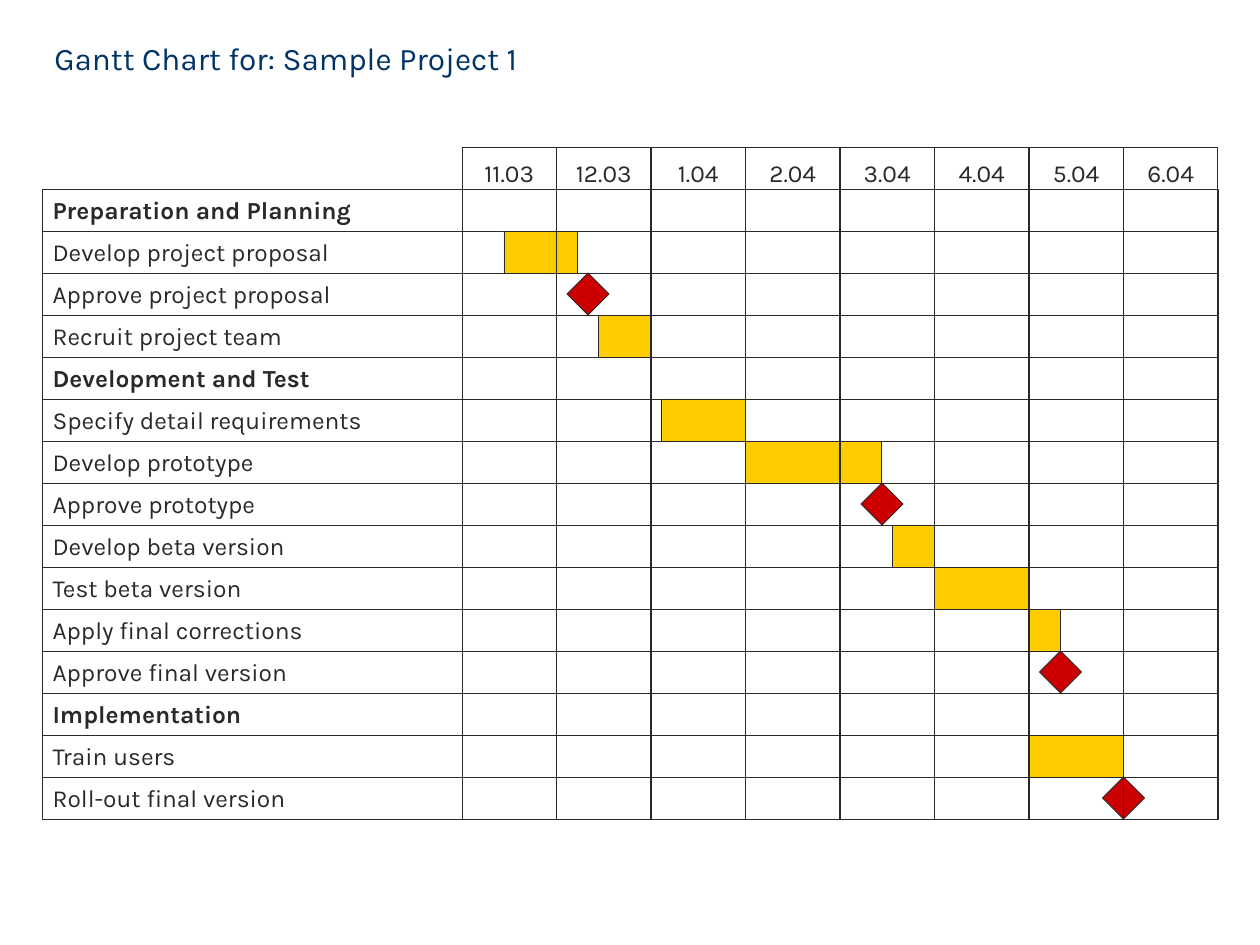
import pptx
import pptx.dml.color
import pptx.enum.shapes
import pptx.enum.text
import pptx.util

Pt = pptx.util.Pt
RGBColor = pptx.dml.color.RGBColor
MSO_SHAPE = pptx.enum.shapes.MSO_SHAPE
MSO_ANCHOR = pptx.enum.text.MSO_ANCHOR
PP_ALIGN = pptx.enum.text.PP_ALIGN

NAVY = RGBColor(0x00, 0x33, 0x66)
INK = RGBColor(0x29, 0x29, 0x29)
YELLOW = RGBColor(0xFF, 0xCC, 0x00)
RED = RGBColor(0xCC, 0x00, 0x00)
FONT = "Karla"

# Grid, in points
LEFT, WIDTH = 24, 672
ROW_TOP, ROW_HEIGHT = 108, 24
MONTH_LEFT, MONTH_TOP, MONTH_WIDTH = 264, 84, 54
INSET = 6

MONTHS = ["11.03", "12.03", "1.04", "2.04", "3.04", "4.04", "5.04", "6.04"]

# Label and timing in points from the first month:
# none for a phase, (start, end) for a task, (date,) for a milestone
ROWS = [
    ("Preparation and Planning", ()),
    ("Develop project proposal", (24, 66)),
    ("Approve project proposal", (72,)),
    ("Recruit project team", (78, 108)),
    ("Development and Test", ()),
    ("Specify detail requirements", (114, 162)),
    ("Develop prototype", (162, 240)),
    ("Approve prototype", (240,)),
    ("Develop beta version", (246, 270)),
    ("Test beta version", (270, 324)),
    ("Apply final corrections", (324, 342)),
    ("Approve final version", (342,)),
    ("Implementation", ()),
    ("Train users", (324, 378)),
    ("Roll-out final version", (378,)),
]


def set_attributes(target, values):
    for name, value in values.items():
        setattr(target, name, value)


def write_text(shape, text, frame_format, alignment, font_format, color):
    set_attributes(shape.text_frame, frame_format)
    paragraph = shape.text_frame.paragraphs[0]
    paragraph.text = text
    paragraph.alignment = alignment
    set_attributes(paragraph.runs[0].font, {"name": FONT, **font_format})
    paragraph.runs[0].font.color.rgb = color


def add_outlined(slide, kind, left, top, width, height, fill=None):
    shape = slide.shapes.add_shape(kind, Pt(left), Pt(top), Pt(width), Pt(height))
    shape.shadow.inherit = False
    if fill is None:
        shape.fill.background()
    else:
        shape.fill.solid()
        shape.fill.fore_color.rgb = fill
    shape.line.color.rgb = INK
    shape.line.width = Pt(0.5)
    return shape


def add_grid_box(slide, text, box, anchor, alignment, bold=False):
    shape = add_outlined(slide, MSO_SHAPE.RECTANGLE, *box)
    sides = ("left", "top", "right", "bottom")
    frame_format = {f"margin_{side}": Pt(INSET) for side in sides}
    frame_format.update(word_wrap=False, vertical_anchor=anchor)
    font_format = {"size": Pt(14), "bold": bold}
    write_text(shape, text, frame_format, alignment, font_format, INK)


def add_title(slide, text):
    title = slide.shapes.add_textbox(Pt(LEFT), Pt(12), Pt(WIDTH), Pt(42))
    frame_format = {"word_wrap": True, "vertical_anchor": MSO_ANCHOR.MIDDLE}
    write_text(title, text, frame_format, PP_ALIGN.LEFT, {"size": Pt(18)}, NAVY)


def add_timing(slide, timing, top):
    start = MONTH_LEFT + timing[0]
    if len(timing) == 1:
        add_outlined(slide, MSO_SHAPE.DIAMOND, start - ROW_HEIGHT / 2, top,
                     ROW_HEIGHT, ROW_HEIGHT, RED)
    else:
        add_outlined(slide, MSO_SHAPE.RECTANGLE, start, top,
                     timing[1] - timing[0], ROW_HEIGHT, YELLOW)


def main():
    presentation = pptx.Presentation()
    presentation.slide_width, presentation.slide_height = Pt(720), Pt(540)
    slide = presentation.slides.add_slide(presentation.slide_layouts[6])
    add_title(slide, "Gantt Chart for: Sample Project 1")

    # Activity rows
    row_tops = [ROW_TOP + index * ROW_HEIGHT for index in range(len(ROWS))]
    for (label, timing), top in zip(ROWS, row_tops):
        add_grid_box(slide, label, (LEFT, top, WIDTH, ROW_HEIGHT),
                     MSO_ANCHOR.MIDDLE, PP_ALIGN.LEFT, bold=not timing)

    # Task bars and milestones
    for (label, timing), top in zip(ROWS, row_tops):
        if timing:
            add_timing(slide, timing, top)

    # Month columns, in front so that their lines cross the bars
    month_height = ROW_TOP + len(ROWS) * ROW_HEIGHT - MONTH_TOP
    for index, month in enumerate(MONTHS):
        left = MONTH_LEFT + index * MONTH_WIDTH
        add_grid_box(slide, month, (left, MONTH_TOP, MONTH_WIDTH, month_height),
                     MSO_ANCHOR.TOP, PP_ALIGN.CENTER)

    presentation.save("out.pptx")


if __name__ == "__main__":
    main()
